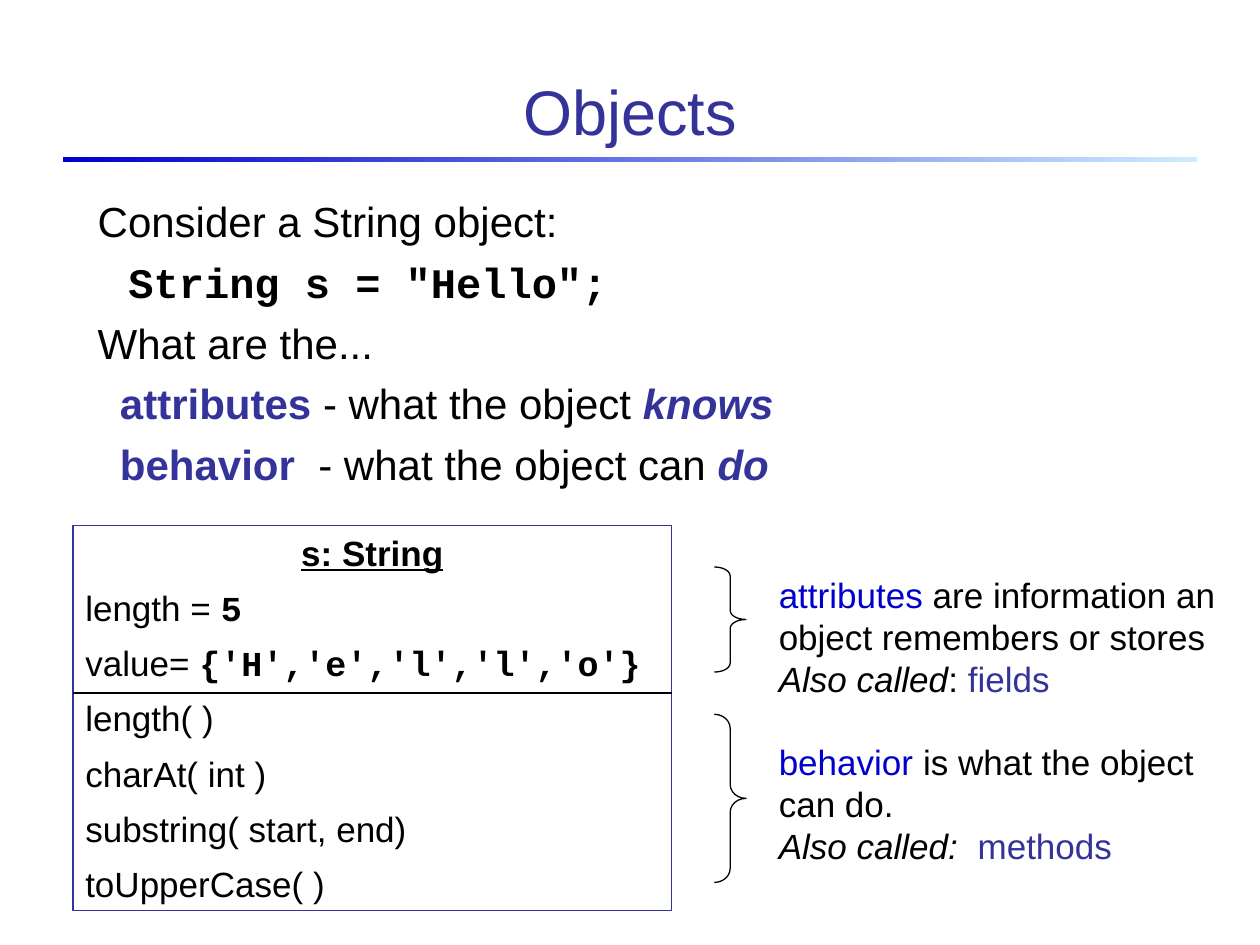
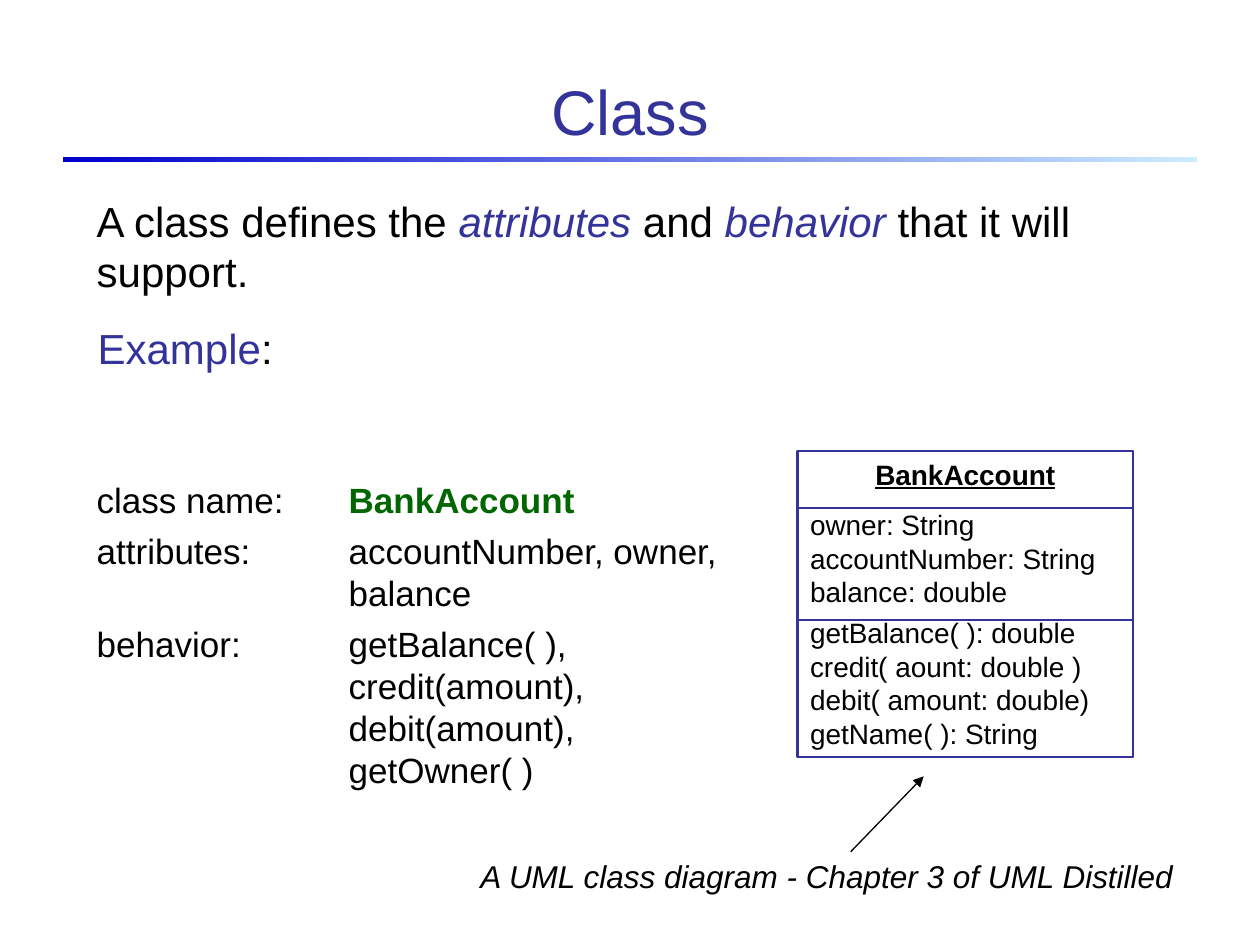
"""Build two slides that introduce objects and classes."""
from dataclasses import asdict, dataclass
from typing import Optional

from lxml import etree
from pptx import Presentation
from pptx import util as u
from pptx.dml.color import RGBColor
from pptx.enum import shapes, text
from pptx.oxml import ns


@dataclass(frozen=True)
class Theme:
    accent: str = "333399"
    strong: str = "0000CC"
    pale: str = "CCECFF"
    green: str = "006600"
    ink: str = "000000"
    paper: str = "FFFFFF"
    sans: str = "Arial"
    mono: str = "Courier New"
    title: float = 36
    body: float = 24
    detail: float = 20
    caption: float = 18
    diagram: float = 16
    thin: float = 0.75
    thick: float = 1.5


THEME = Theme()
ALIGN = text.PP_ALIGN


@dataclass(frozen=True)
class Span:
    words: str
    color: str = THEME.ink
    font: str = THEME.sans
    bold: bool = False
    italic: bool = False
    underline: bool = False


@dataclass(frozen=True)
class Para:
    spans: tuple[Span, ...]
    before: float = 0
    after: float = 0
    align: ALIGN = ALIGN.LEFT
    left: float = 0
    hang: float = 0


@dataclass(frozen=True)
class Panel:
    left: float
    top: float
    width: float
    height: float
    size: float
    paras: tuple[Para, ...]
    outline: float = 0
    fill: Optional[str] = None


@dataclass(frozen=True)
class Brace:
    top: float
    height: float
    curve: float


@dataclass(frozen=True)
class Line:
    x1: float
    y1: float
    x2: float
    y2: float
    color: str = THEME.ink
    weight: float = THEME.thin
    arrow: bool = False


def rgb(value: str) -> RGBColor:
    return RGBColor.from_string(value)


def add_text(paragraph, words: str, *, size: float, color: str = THEME.ink,
             font: str = THEME.sans, bold: bool = False, italic: bool = False,
             underline: bool = False) -> None:
    for index, piece in enumerate(words.split("\n")):
        if index:
            paragraph.add_line_break()
        if not piece:
            continue
        run = paragraph.add_run()
        run.text = piece
        run.font.size = u.Pt(size)
        run.font.name = font
        run.font.color.rgb = rgb(color)
        run.font.bold, run.font.italic, run.font.underline = bold, italic, underline


def set_indent(paragraph, left: float, hang: float) -> None:
    properties = paragraph._p.get_or_add_pPr()
    properties.set("marL", str(u.Cm(left)))
    properties.set("indent", str(u.Cm(-hang)))
    if hang:
        tabs = etree.SubElement(properties, ns.qn("a:tabLst"))
        etree.SubElement(tabs, ns.qn("a:tab"), pos=str(u.Cm(left)), algn="l")


def fill_frame(frame, paras: tuple[Para, ...], size: float) -> None:
    frame.word_wrap = True
    frame.auto_size = text.MSO_AUTO_SIZE.NONE
    for index, para in enumerate(paras):
        paragraph = frame.add_paragraph() if index else frame.paragraphs[0]
        set_indent(paragraph, para.left, para.hang)
        paragraph.alignment = para.align
        paragraph.space_before = u.Pt(para.before if index else 0)
        paragraph.space_after = u.Pt(para.after)
        for span in para.spans:
            add_text(paragraph, size=size, **asdict(span))


def draw_panel(target, panel: Panel) -> None:
    area = [u.Cm(n) for n in (panel.left, panel.top, panel.width, panel.height)]
    if panel.outline:
        box = target.add_shape(shapes.MSO_SHAPE.RECTANGLE, *area)
        box.shadow.inherit = False
        box.line.color.rgb = rgb(THEME.accent)
        box.line.width = u.Pt(panel.outline)
    else:
        box = target.add_textbox(*area)
    if panel.fill:
        box.fill.solid()
        box.fill.fore_color.rgb = rgb(panel.fill)
    else:
        box.fill.background()
    box.text_frame.vertical_anchor = text.MSO_ANCHOR.TOP
    fill_frame(box.text_frame, panel.paras, panel.size)


def draw_brace(target, brace: Brace) -> None:
    bracket = target.add_shape(shapes.MSO_SHAPE.RIGHT_BRACE, u.Cm(14.4), u.Cm(brace.top),
                               u.Cm(0.64), u.Cm(brace.height))
    bracket.adjustments[0] = brace.curve
    bracket.shadow.inherit = False
    bracket.fill.background()
    bracket.line.color.rgb = rgb(THEME.ink)
    bracket.line.width = u.Pt(THEME.thin)


def draw_line(target, line: Line) -> None:
    ends = [u.Cm(n) for n in (line.x1, line.y1, line.x2, line.y2)]
    stroke = target.add_connector(shapes.MSO_CONNECTOR.STRAIGHT, *ends)
    stroke.line.color.rgb = rgb(line.color)
    stroke.line.width = u.Pt(line.weight)
    if line.arrow:
        etree.SubElement(stroke.line._get_or_add_ln(), ns.qn("a:tailEnd"), type="triangle")
    etree.SubElement(stroke._element.spPr, ns.qn("a:effectLst"))


def start_slide(deck, heading: str):
    slide = deck.slides.add_slide(deck.slide_layouts[5])
    band = slide.shapes.add_shape(shapes.MSO_SHAPE.RECTANGLE, u.Cm(1.27), u.Cm(3.17),
                                  u.Cm(22.86), u.Cm(0.09))
    band.shadow.inherit = False
    band.line.fill.background()
    band.fill.gradient()
    band.fill.gradient_angle = 0
    for stop, shade in zip(band.fill.gradient_stops, (THEME.strong, THEME.pale)):
        stop.color.rgb = rgb(shade)
    title = slide.shapes.title
    title.left, title.top = u.Cm(1.7), u.Cm(0.71)
    title.width, title.height = u.Cm(22), u.Cm(2.41)
    title.text_frame.vertical_anchor = text.MSO_ANCHOR.BOTTOM
    name = Para((Span(heading, THEME.accent),), align=ALIGN.CENTER)
    fill_frame(title.text_frame, (name,), THEME.title)
    return slide


def build_objects(deck) -> None:
    target = start_slide(deck, "Objects").shapes

    def question(term: str, middle: str, verb: str) -> Para:
        return Para((Span(term, THEME.accent, bold=True), Span(middle),
                     Span(verb, THEME.accent, bold=True, italic=True)), before=6, left=0.47)

    draw_panel(target, Panel(1.7, 3.81, 22, 6.6, THEME.body, (
        Para((Span("Consider a String object:"),), left=0.02),
        Para((Span('String s = "Hello";', font=THEME.mono, bold=True),), before=6, left=0.64),
        Para((Span("What are the..."),), before=6, left=0.02),
        question("attributes", " - what the object ", "knows"),
        question("behavior ", " - what the object can ", "do"))))

    fields = (("length = ", "5"), ("value= ", "{'H','e','l','l','o'}"))
    methods = ("length( )", "charAt( int )", "substring( start, end)", "toUpperCase( )")
    gap = 7.5
    draw_panel(target, Panel(1.47, 10.59, 12.07, 7.77, THEME.detail, (
        Para((Span("s: String", bold=True, underline=True),), align=ALIGN.CENTER),
        *(Para((Span(field), Span(value, font=THEME.mono, bold=True)), before=gap)
          for field, value in fields),
        *(Para((Span(method),), before=gap) for method in methods)), outline=THEME.thin))
    draw_line(target, Line(1.47, 13.97, 13.54, 13.97))

    meanings = (
        (11.43, 9.35, (Span("attributes", THEME.strong),
                       Span(" are information an object remembers or stores "),
                       Span("Also called", italic=True), Span(": "),
                       Span("fields", THEME.accent))),
        (14.81, 9.53, (Span("behavior", THEME.strong), Span(" is what the object can do. \n"),
                       Span("Also called: ", italic=True), Span(" methods", THEME.accent))))
    for top, width, spans in meanings:
        draw_panel(target, Panel(15.45, top, width, 2.8, THEME.detail, (Para(spans),),
                                 fill=THEME.paper))
    for brace in (Brace(11.43, 2.12, 0.28), Brace(14.4, 3.39, 0.44)):
        draw_brace(target, brace)


def build_class(deck) -> None:
    target = start_slide(deck, "Class").shapes
    draw_panel(target, Panel(1.7, 3.81, 22, 5.28, THEME.body, (
        Para((Span("A class defines the "), Span("attributes", THEME.accent, italic=True),
              Span(" and "), Span("behavior", THEME.accent, italic=True),
              Span(" that it will support."))),
        Para((Span("Example", THEME.accent), Span(":")), before=15, left=0.02))))

    parts = (
        (Span("class name:\t"), Span("BankAccount", THEME.green, bold=True)),
        (Span("attributes:\taccountNumber, owner, balance"),),
        (Span("behavior:\tgetBalance( ), credit(amount), debit(amount), \ngetOwner( )"),))
    draw_panel(target, Panel(1.7, 9.53, 14.81, 6.55, THEME.detail, tuple(
        Para(spans, before=5, left=5.08, hang=5.08) for spans in parts)))

    compartments = (
        ("owner: String", "accountNumber: String", "balance: double"),
        ("getBalance( ): double", "credit( aount: double )", "debit( amount: double)",
         "getName( ): String"))
    diagram = target.add_group_shape().shapes
    draw_panel(diagram, Panel(16.08, 9.09, 6.76, 6.17, THEME.diagram, (
        Para((Span("BankAccount", bold=True, underline=True),), after=5.8, align=ALIGN.CENTER),
        *(Para((Span(member),), before=0 if index else 4)
          for members in compartments for index, member in enumerate(members))),
        outline=THEME.thick))
    for y in (10.24, 12.5):
        draw_line(diagram, Line(16.08, y, 22.84, y, THEME.accent, THEME.thick))

    draw_line(target, Line(17.15, 17.17, 18.62, 15.65, arrow=True))
    draw_panel(target, Panel(7.19, 17.15, 16.71, 1.02, THEME.caption, (
        Para((Span("A UML class diagram - Chapter 3 of UML Distilled", italic=True),),
             align=ALIGN.RIGHT),)))


def main() -> None:
    deck = Presentation()
    deck.slide_width, deck.slide_height = u.Cm(25.4), u.Cm(19.05)
    build_objects(deck)
    build_class(deck)
    deck.save("out.pptx")


if __name__ == "__main__":
    main()
